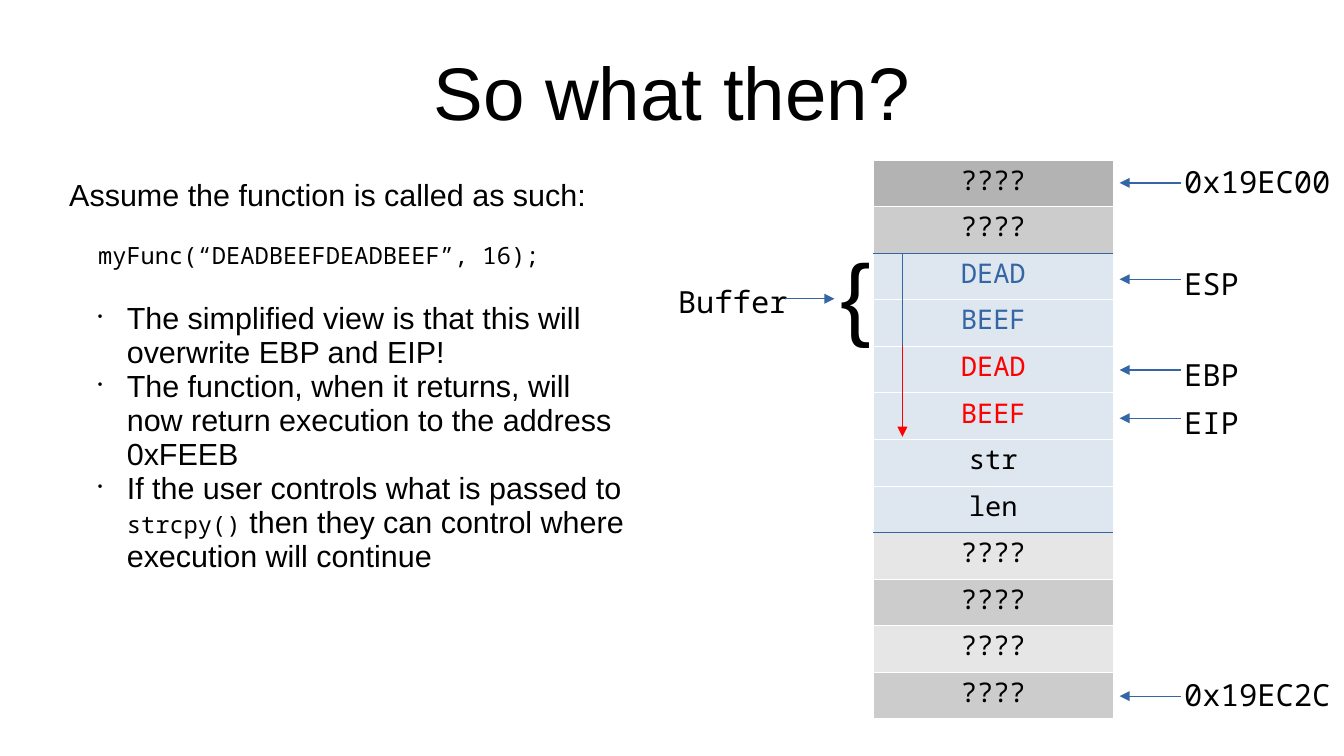
"""Draw a slide on how a long string overwrites the stack."""
from lxml import etree
from pptx import Presentation
from pptx.dml.color import RGBColor
from pptx.enum.shapes import MSO_CONNECTOR
from pptx.enum.text import MSO_ANCHOR, PP_ALIGN
from pptx.oxml.ns import qn
from pptx.util import Pt

LINE = MSO_CONNECTOR.STRAIGHT
MIDDLE = MSO_ANCHOR.MIDDLE
LEFT, CENTER = PP_ALIGN.LEFT, PP_ALIGN.CENTER
SANS, MONO = "Arial", "Noto Sans Mono"
BLACK, BLUE, RED, WHITE = "000000", "3465A4", "FF0000", "FFFFFF"
PALE, DARK, GREY, LIGHT = "DEE6EF", "B3B3B3", "CCCCCC", "E6E6E6"
ROW = 27.5
GAP = 19.4
CELLS = [
    ("????", BLACK, DARK), ("????", BLACK, GREY),
    ("DEAD", BLUE, PALE), ("BEEF", BLUE, PALE),
    ("DEAD", RED, PALE), ("BEEF", RED, PALE),
    ("str", BLACK, PALE), ("len", BLACK, PALE),
    ("????", BLACK, LIGHT), ("????", BLACK, GREY),
    ("????", BLACK, LIGHT), ("????", BLACK, GREY),
]
EDGES = (2, 8)
MARKS = [
    ("0x19EC00", 13.7, 13, 0.73), ("ESP", 70.6, 11.4, 0.83),
    ("EBP", 124.2, 11, 0.83), ("EIP", 152.7, 11, 0.83),
    ("0x19EC2C", 316.8, 13, 0.73),
]
POINTS = [
    [("The simplified view is that this will overwrite EBP and EIP!", SANS, 18)],
    [("The function, when it returns, will now return execution "
      "to the address 0xFEEB", SANS, 18)],
    [("If the user controls what is passed to ", SANS, 18),
     ("strcpy()", MONO, 14),
     (" then they can control where execution will continue", SANS, 18)],
]


def paint(color, code):
    """Set a colour from a hex string."""
    color.rgb = RGBColor.from_string(code)


def apply(item, form):
    """Set attributes of an item from a dict."""
    for key, value in form.items():
        setattr(item, key, value)


def node(parent, tag, **attrs):
    """Add an XML element to a parent."""
    item = etree.SubElement(parent, qn(tag))
    for key, value in attrs.items():
        item.set(key, str(value))
    return item


def write(para, runs, code=BLACK, space=0.83, align=LEFT, before=0):
    """Fill a paragraph with runs of text, font and size."""
    apply(para, {"line_spacing": space, "alignment": align,
                 "space_before": Pt(before), "space_after": Pt(0)})
    for text, name, size in runs:
        run = para.add_run()
        run.text = text
        apply(run.font, {"name": name, "size": Pt(size)})
        paint(run.font.color, code)


def add_text(slide, box, pads):
    """Add a wrapping text box and return its frame."""
    frame = slide.shapes.add_textbox(*map(Pt, box)).text_frame
    sides = ("margin_left", "margin_top", "margin_right", "margin_bottom")
    apply(frame, {"word_wrap": True, **dict(zip(sides, map(Pt, pads)))})
    return frame


def add_line(slide, ends, code=BLUE, arrow=True):
    """Add a thin line with an optional arrowhead at its end."""
    link = slide.shapes.add_connector(LINE, *map(Pt, ends))
    link.line.width = Pt(0.75)
    paint(link.line.color, code)
    if arrow:
        node(link.line._ln, "a:tailEnd", type="triangle")
    node(link._element.spPr, "a:effectLst")


def add_title(slide, box):
    """Add the slide title."""
    frame = add_text(slide, box, (0, 3, 0, 0))
    frame.vertical_anchor = MIDDLE
    write(frame.paragraphs[0], [("So what then?", SANS, 44)],
          space=0.93, align=CENTER)


def add_edge(cell, tag, code, place):
    """Add one hairline border to a cell."""
    props = cell._tc.get_or_add_tcPr()
    edge = node(props, tag, w=Pt(0.06))
    node(node(edge, "a:solidFill"), "a:srgbClr", val=code)
    props.insert(place, edge)


def add_stack(slide, box):
    """Add the stack table and the line of overwritten cells."""
    left, top, width, _ = box
    table = slide.shapes.add_table(len(CELLS), 1, *map(Pt, box)).table
    apply(table, {"first_row": False, "horz_banding": False})
    for index, (text, code, fill) in enumerate(CELLS):
        table.rows[index].height = Pt(ROW)
        cell = table.cell(index, 0)
        cell.fill.solid()
        paint(cell.fill.fore_color, fill)
        write(cell.text_frame.paragraphs[0], [(text, MONO, 16)], code,
              align=CENTER)
        above = BLUE if index in EDGES else WHITE
        below = BLUE if index + 1 in EDGES else WHITE
        tags = {"a:lnL": WHITE, "a:lnR": WHITE, "a:lnT": above, "a:lnB": below}
        for place, (tag, shade) in enumerate(tags.items()):
            add_edge(cell, tag, shade, place)
    mid = left + 17.3
    start, turn, end = (top + ROW * count for count in (2, 4, 5.95))
    add_line(slide, (mid, start, mid, turn), arrow=False)
    add_line(slide, (mid, turn, mid, end), RED)


def add_marks(slide, box):
    """Add the register and address labels with their arrows."""
    left, top, width, _ = box
    for text, drop, rise, space in MARKS:
        mid = top + drop
        area = (left + 31, mid - rise, width - 31, 26)
        frame = add_text(slide, area, (7.2, 6.5, 0, 3.6))
        write(frame.paragraphs[0], [(text, MONO, 18)], space=space)
        add_line(slide, (left + 36, mid, left, mid))


def add_buffer(slide, box):
    """Add the buffer label, its arrow and the brace."""
    left, top, width, height = box
    brace = add_text(slide, (left + width - 44, top, 44, height),
                     (7.2, 7.2, 7.2, 3.6))
    write(brace.paragraphs[0], [("{", SANS, 54)], space=0.93)
    label = add_text(slide, (left, top + 25.2, 81.4, 30), (7.2, 6.5, 7.2, 3.6))
    write(label.paragraphs[0], [("Buffer", MONO, 18)])
    mid = top + 37.4
    add_line(slide, (left + 70.5, mid, left + 99.5, mid))


def add_notes(slide, box):
    """Add the call and the points about it."""
    frame = add_text(slide, box, (7.2, 5, 7.2, 3.6))
    write(frame.paragraphs[0],
          [("Assume the function is called as such:", SANS, 18)], space=0.93)
    call = frame.add_paragraph()
    call._p.get_or_add_pPr().set("marL", str(Pt(17)))
    write(call, [("myFunc(“DEADBEEFDEADBEEF”, 16);", MONO, 14)], before=GAP)
    for index, runs in enumerate(POINTS):
        para = frame.add_paragraph()
        props = para._p.get_or_add_pPr()
        apply_at = {"marL": Pt(34), "indent": Pt(-17), "lvl": 1}
        for key, value in apply_at.items():
            props.set(key, str(value))
        node(node(props, "a:buClr"), "a:srgbClr", val=BLACK)
        node(props, "a:buSzPct", val=45000)
        node(props, "a:buChar", char="•")
        write(para, runs, space=0.93, before=0 if index else GAP)


def main():
    """Build and save the slide."""
    deck = Presentation()
    apply(deck, {"slide_width": Pt(793.44), "slide_height": Pt(446.4)})
    slide = deck.slides.add_slide(deck.slide_layouts[6])
    add_title(slide, (39.6, 18, 714.2, 74.2))
    add_stack(slide, (515.5, 94.3, 141.8, ROW * len(CELLS)))
    add_marks(slide, (661, 94.3, 132, 330))
    add_buffer(slide, (393.1, 139, 139.8, 72))
    add_notes(slide, (33.8, 100.8, 344.2, 321.8))
    deck.save("out.pptx")


if __name__ == "__main__":
    main()
